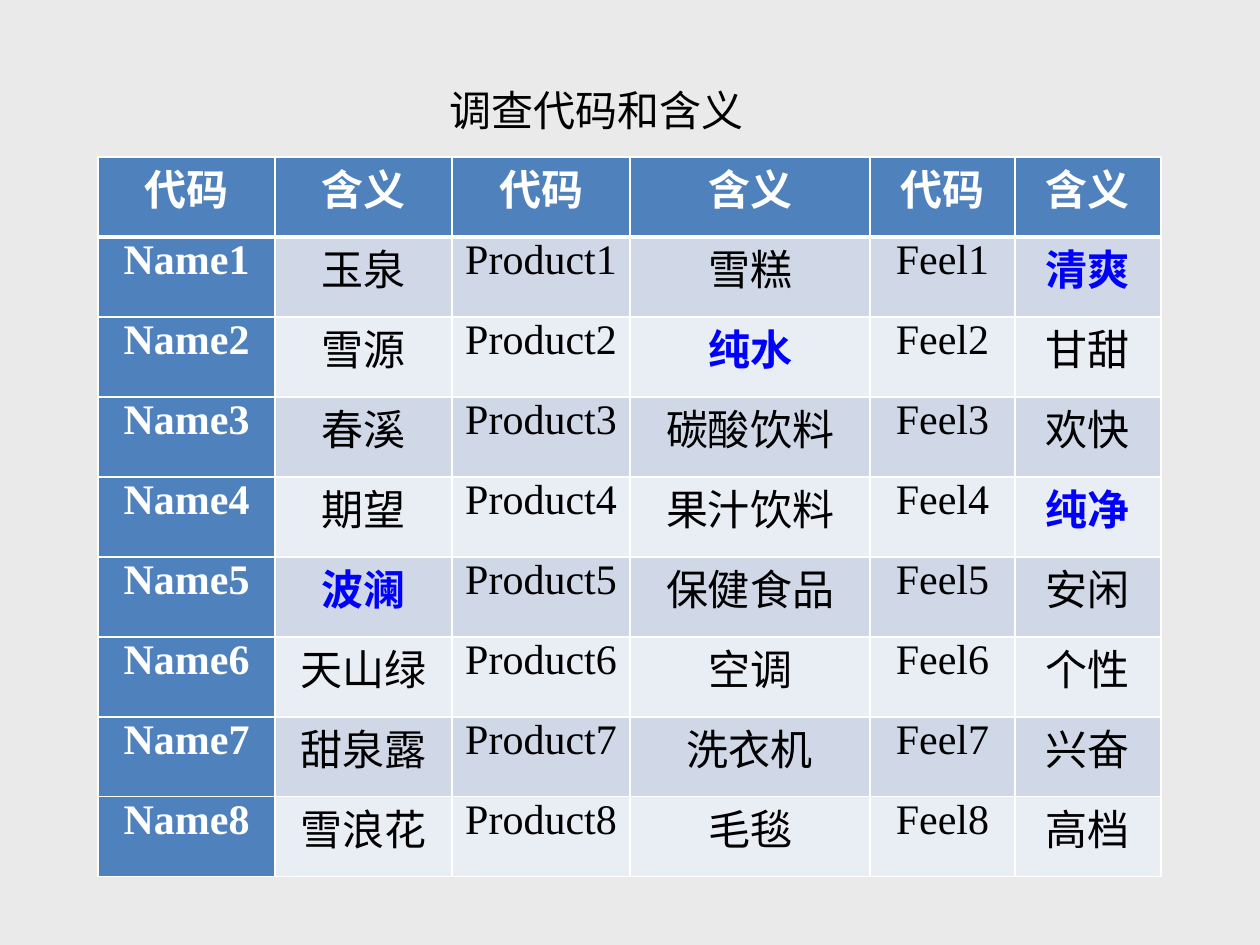
from lxml import etree
from pptx import Presentation
from pptx.dml.color import RGBColor
from pptx.enum.text import MSO_ANCHOR, MSO_AUTO_SIZE, PP_ALIGN
from pptx.oxml.ns import qn
from pptx.util import Pt

CENTER, LEFT = PP_ALIGN.CENTER, PP_ALIGN.LEFT
TOP = MSO_ANCHOR.TOP
NO_AUTOFIT = MSO_AUTO_SIZE.NONE

PX = 914400 / 126
LATIN_FONT = "Times New Roman"
CHINESE_FONT = "Noto Sans CJK SC"
COLORS = {
    "background": "EAEAEA",
    "header": "4F81BD",
    "odd": "D0D8E8",
    "even": "E9EDF4",
    "white": "FFFFFF",
    "black": "000000",
    "highlight": "0000FF",
}

HEADERS = ["代码", "含义"] * 3
MEANINGS = [
    ("玉泉", "雪糕", "清爽"),
    ("雪源", "纯水", "甘甜"),
    ("春溪", "碳酸饮料", "欢快"),
    ("期望", "果汁饮料", "纯净"),
    ("波澜", "保健食品", "安闲"),
    ("天山绿", "空调", "个性"),
    ("甜泉露", "洗衣机", "兴奋"),
    ("雪浪花", "毛毯", "高档"),
]
HIGHLIGHTED = {"清爽", "纯水", "纯净", "波澜"}
COLUMN_WIDTHS = [177, 177, 178, 240, 145, 146]
ROW_HEIGHT = 80


def px(value):
    return round(value * PX)


def format_run(run, font_name, color, bold):
    font = run.font
    font.size = Pt(24)
    font.name = font_name
    font.bold = bold
    font.color.rgb = RGBColor.from_string(COLORS[color])
    east_asian = etree.SubElement(run._r.rPr, qn("a:ea"))
    east_asian.set("typeface", CHINESE_FONT)


presentation = Presentation()
presentation.slide_width = px(1260)
presentation.slide_height = px(945)
slide = presentation.slides.add_slide(presentation.slide_layouts[5])

# Background
background = slide.background.fill
background.solid()
background.fore_color.rgb = RGBColor.from_string(COLORS["background"])

# Title
title = slide.shapes.title
title.left, title.top, title.width, title.height = px(437), px(78), px(323), px(115)
title_frame = title.text_frame
title_frame.text = "调查代码和含义"
title_frame.word_wrap = False
title_frame.auto_size = NO_AUTOFIT
title_frame.vertical_anchor = TOP
title_frame.paragraphs[0].alignment = LEFT
format_run(title_frame.paragraphs[0].runs[0], CHINESE_FONT, "black", False)

# Table rows: a header, then numbered codes with their meanings
rows = [HEADERS]
for number, (name, product, feel) in enumerate(MEANINGS, start=1):
    rows.append([f"Name{number}", name, f"Product{number}", product, f"Feel{number}", feel])

table = slide.shapes.add_table(
    len(rows), len(HEADERS), px(98), px(157),
    px(sum(COLUMN_WIDTHS)), px(ROW_HEIGHT * len(rows)),
).table
for column, width in zip(table.columns, COLUMN_WIDTHS):
    column.width = px(width)
for row in table.rows:
    row.height = px(ROW_HEIGHT)

for row_index, row in enumerate(rows):
    for column_index, text in enumerate(row):
        cell = table.cell(row_index, column_index)
        cell.margin_left = cell.margin_right = px(9)
        cell.margin_top = cell.margin_bottom = 0
        cell.vertical_anchor = TOP

        # Text
        is_heading = row_index == 0 or column_index == 0
        is_highlighted = text in HIGHLIGHTED
        color = "white" if is_heading else "highlight" if is_highlighted else "black"
        cell.text_frame.text = text
        paragraph = cell.text_frame.paragraphs[0]
        paragraph.alignment = CENTER
        format_run(paragraph.runs[0], CHINESE_FONT if is_highlighted else LATIN_FONT,
                   color, is_heading or is_highlighted)

        # Borders, with a thicker line below the header
        cell_properties = cell._tc.get_or_add_tcPr()
        for side in ("L", "R", "T", "B"):
            thick = (row_index, side) in {(0, "B"), (1, "T")}
            line = etree.SubElement(cell_properties, qn(f"a:ln{side}"))
            line.set("w", str(Pt(3 if thick else 1)))
            line_fill = etree.SubElement(line, qn("a:solidFill"))
            etree.SubElement(line_fill, qn("a:srgbClr")).set("val", COLORS["white"])

        # Fill
        band = "header" if is_heading else "odd" if row_index % 2 else "even"
        cell.fill.solid()
        cell.fill.fore_color.rgb = RGBColor.from_string(COLORS[band])

presentation.save("out.pptx")
